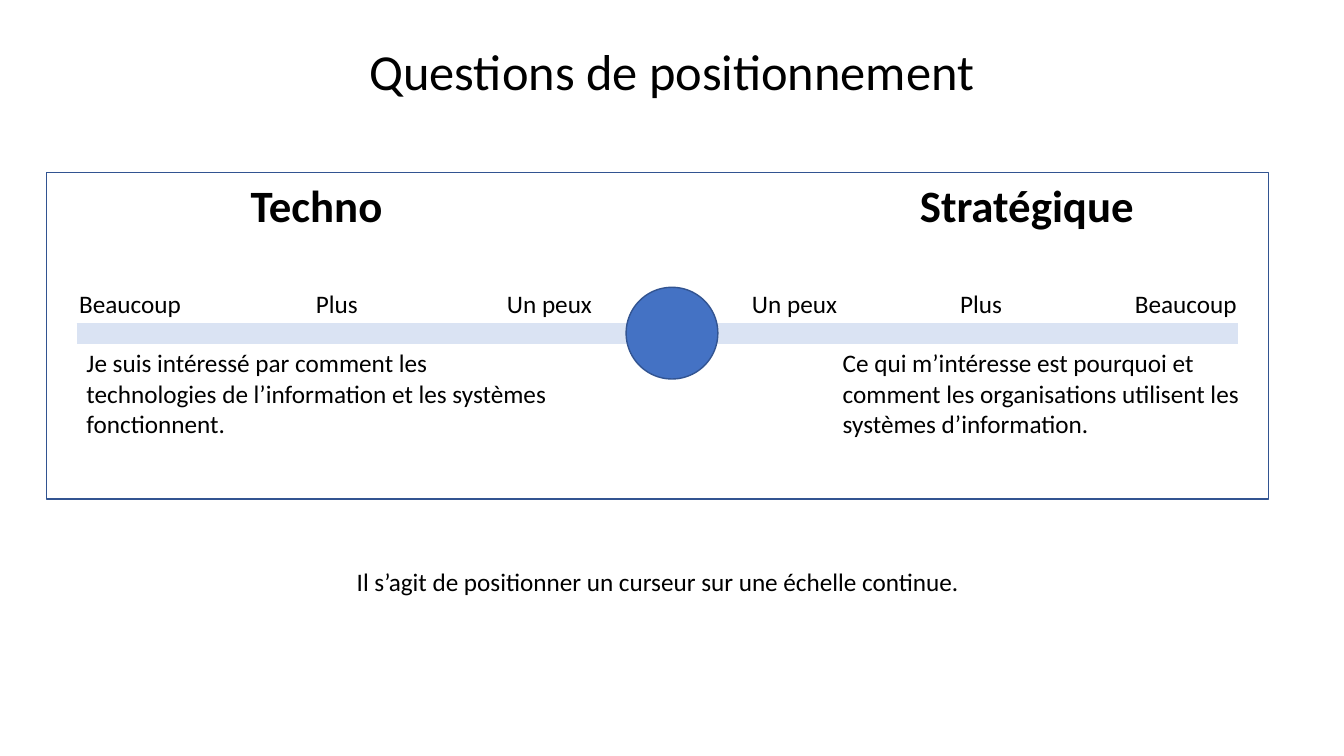
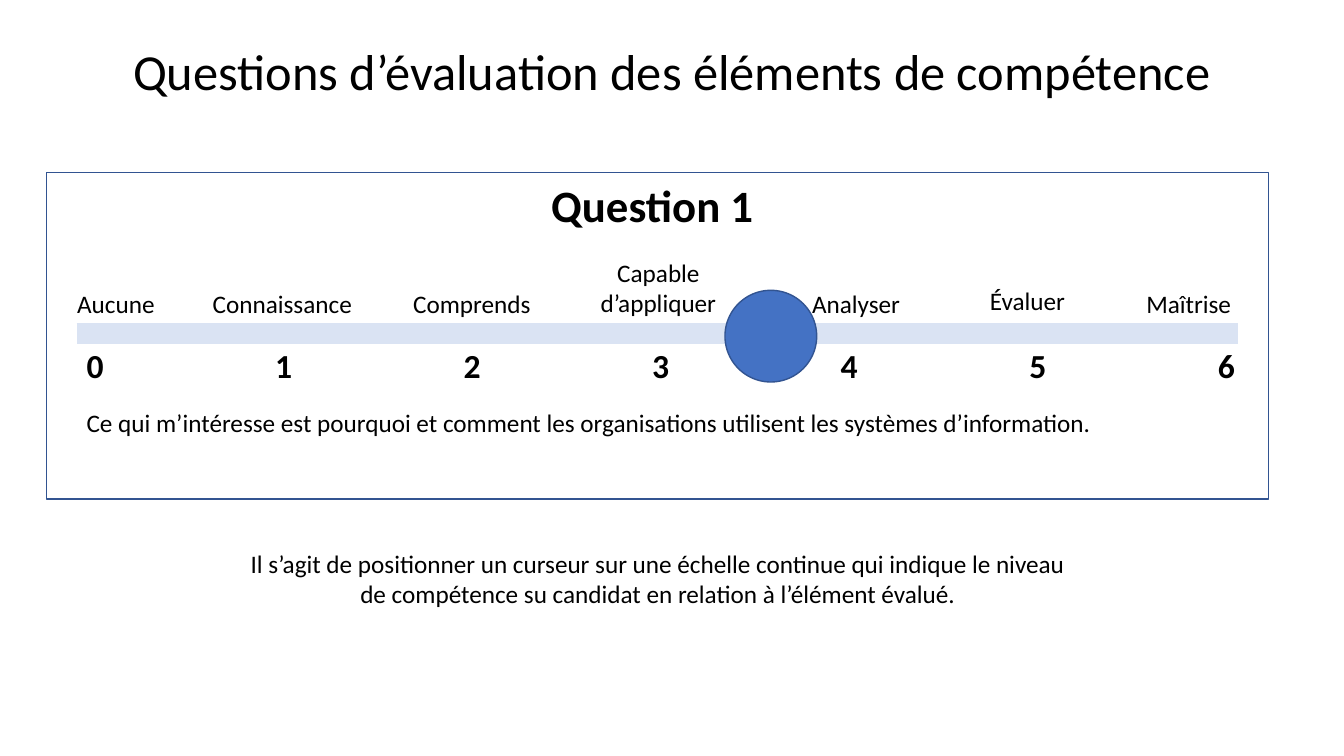
from lxml.etree import SubElement
from pptx import Presentation
from pptx.dml.color import RGBColor
from pptx.enum.shapes import MSO_CONNECTOR as Connector, MSO_SHAPE as Shape
from pptx.enum.text import MSO_ANCHOR as Anchor, PP_ALIGN as Align
from pptx.oxml.ns import qn
from pptx.util import Inches, Pt

WIDTH, HEIGHT = 13.33, 7.5
FONT, INK, BLUE, EDGE, PALE = "Calibri", "000000", "4472C4", "325491", "DAE3F3"
FRAME_LEFT, FRAME_TOP, FRAME_WIDTH, FRAME_HEIGHT = 0.46, 1.71, 12.12, 3.24
SCALE_LEFT, SCALE_RIGHT, SCALE_Y = 0.76, 12.28, 3.31
LABEL_WIDTH, LABEL_BOTTOM = 2.01, 3.21
LINE = {1: 0.4, 2: 0.71}
CURSOR = 0.91
STEP = 1.87


def color(code):
    return RGBColor.from_string(code)


def write(slide, text, left, top, width, height, size=18, bold=False, align=Align.CENTER):
    box = slide.shapes.add_textbox(Inches(left), Inches(top), Inches(width), Inches(height))
    frame = box.text_frame
    frame.word_wrap = True
    frame.vertical_anchor = Anchor.TOP
    paragraph = frame.paragraphs[0]
    paragraph.alignment = align
    run = paragraph.add_run()
    run.text = text
    run.font.name = FONT
    run.font.size = Pt(size)
    run.font.bold = bold
    run.font.color.rgb = color(INK)


positioning = {
    "title": "Questions de positionnement",
    "cursor": (6.21, 2.85),
    "headings": [("Techno", 2.2, 1.88), ("Stratégique", 8.71, 2.95)],
    "labels": [
        ("Beaucoup", 1.29, 1, 0), ("Plus", 3.34, 1, 0), ("Un peux", 5.45, 1, 0),
        ("Un peux", 7.88, 1, 0), ("Plus", 9.73, 1, 0), ("Beaucoup", 11.76, 1, 0),
    ],
    "statements": [
        ("Je suis intéressé par comment les technologies de l’information "
         "et les systèmes fonctionnent. ", 0.76, 3.4, 4.76, 1.01),
        ("Ce qui m’intéresse est pourquoi et comment les organisations "
         "utilisent les systèmes d’information.", 8.26, 3.4, 4.31, 1.01),
    ],
    "levels": 0,
    "instruction": ("Il s’agit de positionner un curseur sur une échelle continue.",
                    3.4, 5.57, 6.25, LINE[1]),
}
evaluation = {
    "title": "Questions d’évaluation des éléments de compétence",
    "cursor": (7.19, 2.88),
    "headings": [("Question 1 ", FRAME_LEFT, FRAME_WIDTH)],
    "labels": [
        ("Aucune", 1.15, 1, 0), ("Connaissance", 2.8, 1, 0), ("Comprends", 4.68, 1, 0),
        ("Capable d’appliquer", 6.53, 2, 0), ("Analyser", 8.49, 1, 0),
        ("Évaluer", 10.19, 1, 0.03), ("Maîtrise", 11.79, 1, 0),
    ],
    "statements": [
        ("Ce qui m’intéresse est pourquoi et comment les organisations "
         "utilisent les systèmes d’information.", SCALE_LEFT, 3.99, SCALE_RIGHT - SCALE_LEFT, LINE[1]),
    ],
    "levels": 7,
    "instruction": ("Il s’agit de positionner un curseur sur une échelle continue qui indique "
                    "le niveau de compétence su candidat en relation à l’élément évalué.",
                    2.3, 5.39, 8.45, LINE[2]),
}

deck = Presentation()
deck.slide_width, deck.slide_height = Inches(WIDTH), Inches(HEIGHT)

for content in (positioning, evaluation):
    slide = deck.slides.add_slide(deck.slide_layouts[6])
    write(slide, content["title"], 0, 0.35, WIDTH, LINE[2], size=36)

    scale = slide.shapes.add_connector(
        Connector.STRAIGHT, Inches(SCALE_LEFT), Inches(SCALE_Y), Inches(SCALE_RIGHT), Inches(SCALE_Y))
    scale.line.color.rgb = color(PALE)
    scale.line.width = Pt(15)
    SubElement(scale._element.spPr, qn("a:effectLst"))

    for kind, bounds, fill in (
        (Shape.RECTANGLE, (FRAME_LEFT, FRAME_TOP, FRAME_WIDTH, FRAME_HEIGHT), None),
        (Shape.OVAL, (*content["cursor"], CURSOR, CURSOR), BLUE),
    ):
        outline = slide.shapes.add_shape(kind, *map(Inches, bounds))
        outline.shadow.inherit = False
        outline.line.color.rgb = color(EDGE)
        outline.line.width = Pt(1)
        if fill:
            outline.fill.solid()
            outline.fill.fore_color.rgb = color(fill)
        else:
            outline.fill.background()

    for heading, left, width in content["headings"]:
        write(slide, heading, left, FRAME_TOP, width, 0.64, size=32, bold=True)
    for label, center, lines, lift in content["labels"]:
        write(slide, label, center - LABEL_WIDTH / 2, LABEL_BOTTOM - LINE[lines] - lift,
              LABEL_WIDTH, LINE[lines])
    for level in range(content["levels"]):
        write(slide, str(level), SCALE_LEFT + level * STEP, 3.37, 0.29, 0.5,
              size=24, bold=True, align=Align.LEFT)
    for statement, *bounds in content["statements"]:
        write(slide, statement, *bounds, align=Align.LEFT)
    write(slide, *content["instruction"])

deck.save("out.pptx")
